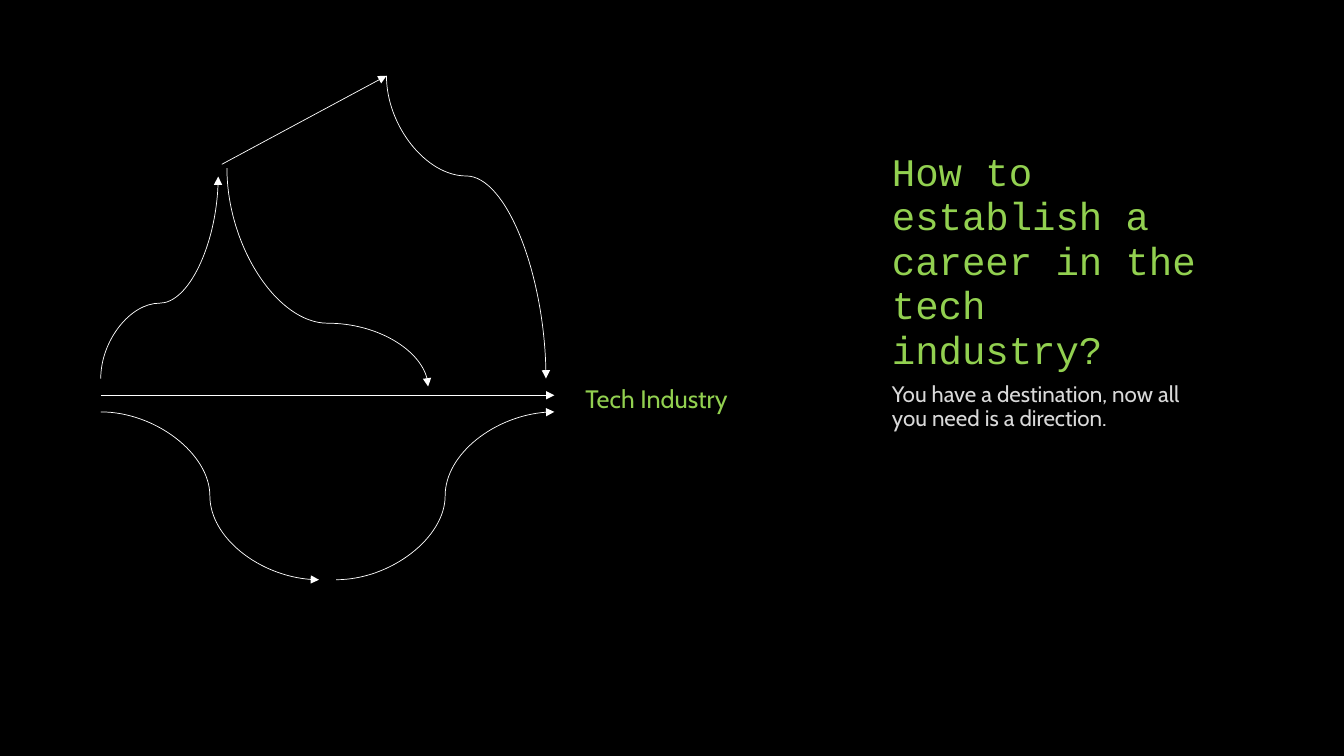
from dataclasses import dataclass

from lxml import etree
from pptx import Presentation
from pptx.dml.color import RGBColor
from pptx.enum.shapes import MSO_CONNECTOR
from pptx.enum.text import MSO_ANCHOR, MSO_AUTO_SIZE, PP_ALIGN
from pptx.oxml.ns import qn
from pptx.util import Cm, Pt

STRAIGHT, CURVE = MSO_CONNECTOR.STRAIGHT, MSO_CONNECTOR.CURVE
TOP, BOTTOM = MSO_ANCHOR.TOP, MSO_ANCHOR.BOTTOM
LEFT = PP_ALIGN.LEFT
FIT_SHAPE, FIXED = MSO_AUTO_SIZE.SHAPE_TO_FIT_TEXT, MSO_AUTO_SIZE.NONE


@dataclass(frozen=True)
class Theme:
    background: RGBColor = RGBColor(0x00, 0x00, 0x00)
    accent: RGBColor = RGBColor(0x92, 0xD0, 0x50)
    muted: RGBColor = RGBColor(0xD9, 0xD9, 0xD9)
    arrow: RGBColor = RGBColor(0xFF, 0xFF, 0xFF)
    heading_font: str = "Courier New"
    body_font: str = "Cabin"
    title_size: float = 27.9
    label_size: float = 18
    body_size: float = 16
    arrow_width: float = 0.5


THEME = Theme()


def add_text(slide, box, text, font_name, size, color,
             anchor=TOP, line_spacing=1.0, wrap=True):
    text_box = slide.shapes.add_textbox(*(Cm(length) for length in box))
    frame = text_box.text_frame
    frame.text = text
    frame.word_wrap = wrap
    frame.auto_size = FIXED if wrap else FIT_SHAPE
    frame.vertical_anchor = anchor
    paragraph = frame.paragraphs[0]
    paragraph.alignment = LEFT
    paragraph.line_spacing = line_spacing
    font = paragraph.runs[0].font
    font.name, font.size, font.color.rgb = font_name, Pt(size), color


def add_arrow(slide, kind, start, end):
    connector = slide.shapes.add_connector(
        kind, *(Cm(length) for length in (*start, *end)))
    connector.line.color.rgb = THEME.arrow
    connector.line.width = Pt(THEME.arrow_width)
    line = connector.line._get_or_add_ln()
    etree.SubElement(line, qn("a:tailEnd"), type="triangle")
    etree.SubElement(connector.element.spPr, qn("a:effectLst"))
    return connector


def add_upright_curve(slide, start, end, bend):
    """Draw a curve that leaves and arrives vertically, levelling out at the bend share."""
    going_down = end[1] > start[1]
    turn = -1 if going_down else 1
    center_x, center_y = (start[0] + end[0]) / 2, (start[1] + end[1]) / 2
    across = turn * (start[1] - center_y)
    along = turn * (start[0] - center_x)
    connector = add_arrow(slide, CURVE,
                          (center_x + across, center_y - along),
                          (center_x - across, center_y + along))
    properties = connector.element.spPr
    properties.find(qn("a:xfrm")).set("rot", str((270 if going_down else 90) * 60000))
    adjustments = properties.find(qn("a:prstGeom")).get_or_add_avLst()
    etree.SubElement(adjustments, qn("a:gd"), name="adj1",
                     fmla=f"val {round(bend * 100000)}")


def add_career_paths(slide, left, top, width, height):
    """Draw the routes that lead from the left edge of the box to the tech industry."""
    def place(x, y):
        return left + x, top + y

    direct_y = 8.05
    lane_gap = 0.42
    lower_y = direct_y + lane_gap
    upper_y = direct_y - lane_gap
    dip_width = 5.5

    add_arrow(slide, CURVE, place(0, lower_y), place(dip_width, height))
    add_arrow(slide, CURVE, place(width - dip_width, height), place(width, lower_y))
    add_arrow(slide, STRAIGHT, place(0, direct_y), place(width, direct_y))
    add_arrow(slide, STRAIGHT, place(3.05, 2.23), place(7.2, 0))

    upright_curves = (
        ((0, upper_y), (2.96, 2.54), 0.373),
        ((3.18, 2.33), (8.25, 7.83), 0.71),
        ((7.2, 0), (11.22, upper_y), 0.331),
    )
    for start, end, bend in upright_curves:
        add_upright_curve(slide, place(*start), place(*end), bend)

    add_text(slide, (*place(width + 0.53, upper_y), 4.14, 1.02), "Tech Industry",
             THEME.body_font, THEME.label_size, THEME.accent, wrap=False)


def add_heading(slide, left, top, width, height):
    """Stack the title on the subtitle, meeting at the middle of the box."""
    half = height / 2
    add_text(slide, (left, top, width, half),
             "How to establish a career in the tech industry?",
             THEME.heading_font, THEME.title_size, THEME.accent,
             anchor=BOTTOM, line_spacing=0.95)
    add_text(slide, (left, top + half, width, half),
             "You have a destination, now all you need is a direction.",
             THEME.body_font, THEME.body_size, THEME.muted, line_spacing=0.9)


def main():
    presentation = Presentation()
    presentation.slide_width, presentation.slide_height = Cm(33.87), Cm(19.05)
    slide = presentation.slides.add_slide(presentation.slide_layouts[6])
    fill = slide.background.fill
    fill.solid()
    fill.fore_color.rgb = THEME.background
    add_career_paths(slide, left=2.54, top=1.91, width=11.43, height=12.7)
    add_heading(slide, left=22.23, top=4.45, width=8.68, height=10.16)
    presentation.save("out.pptx")


if __name__ == "__main__":
    main()
